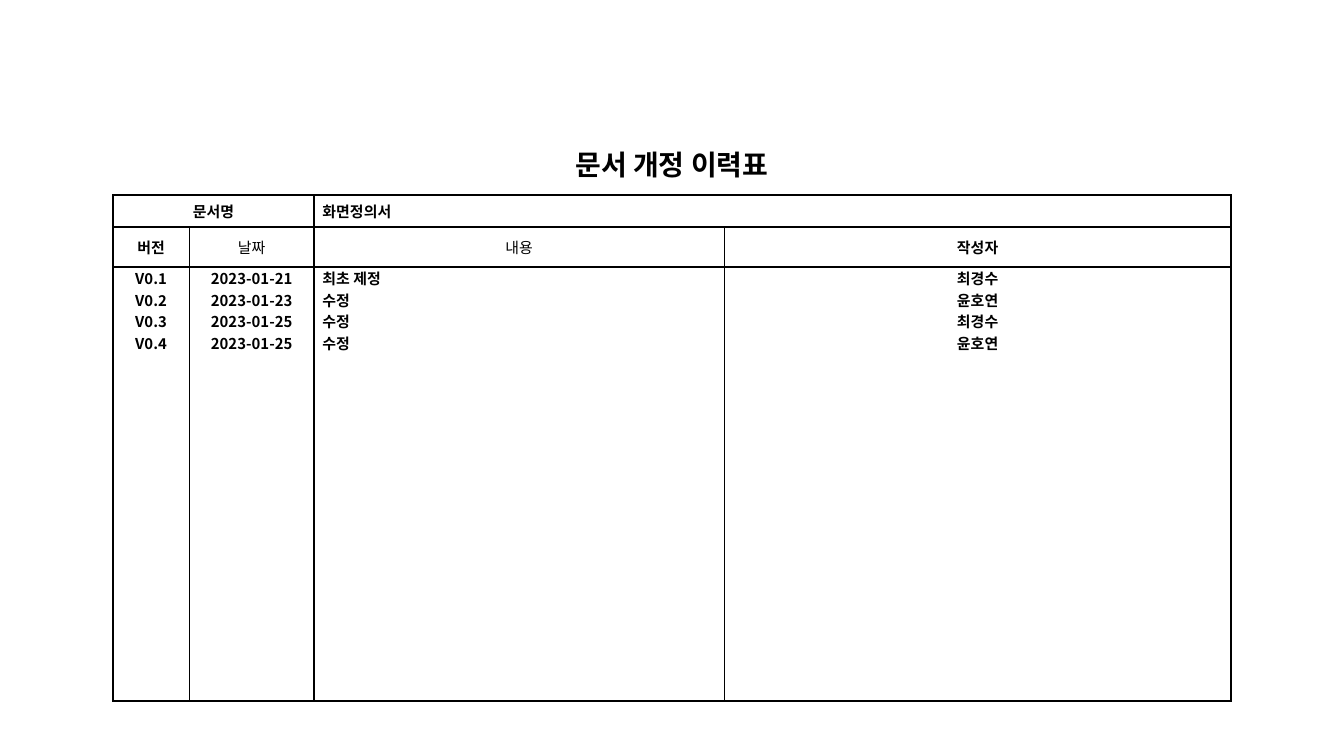
from dataclasses import dataclass

from lxml import etree
from pptx import Presentation
from pptx.dml.color import RGBColor
from pptx.enum import text
from pptx.oxml import ns
from pptx.util import Pt


@dataclass(frozen=True)
class Theme:
    font: str = "Noto Sans CJK KR"
    ink: str = "000000"
    paper: str = "FFFFFF"
    title: int = 15
    body: int = 8
    line: int = 1


T = Theme()
CENTER, JUSTIFY = text.PP_ALIGN.CENTER, text.PP_ALIGN.JUSTIFY
TOP, MIDDLE, BOTTOM = (text.MSO_ANCHOR.TOP, text.MSO_ANCHOR.MIDDLE,
                       text.MSO_ANCHOR.BOTTOM)

COLS = [41, 66.8, 219.8, 271.4]
ROWS = [55, 17.2, 21.4, 232.4]
REVISIONS = [
    ("V0.1", "2023-01-21", "최초 제정", "최경수"),
    ("V0.2", "2023-01-23", "수정", "윤호연"),
    ("V0.3", "2023-01-25", "수정", "최경수"),
    ("V0.4", "2023-01-25", "수정", "윤호연"),
]


def write(cell, lines, size=T.body, bold=True, align=CENTER, anchor=MIDDLE,
          bottom=0):
    """Fill a cell with one paragraph per line."""
    cell.vertical_anchor = anchor
    cell.margin_left = cell.margin_right = Pt(4.5)
    cell.margin_top, cell.margin_bottom = Pt(0), Pt(bottom)
    tf = cell.text_frame
    for i, line in enumerate(lines):
        p = tf.paragraphs[0] if i == 0 else tf.add_paragraph()
        p.alignment = align
        r = p.add_run()
        r.text = line
        r.font.size, r.font.bold, r.font.name = Pt(size), bold, T.font
        r.font.color.rgb = RGBColor.from_string(T.ink)
        ea = etree.SubElement(r.font._element, ns.qn("a:ea"))
        ea.set("typeface", T.font)


def draw_borders(cell, colors):
    """Draw the left, right, top and bottom borders in the given colors."""
    tcPr = cell._tc.get_or_add_tcPr()
    for side, color in zip("LRTB", colors):
        ln = etree.SubElement(tcPr, ns.qn(f"a:ln{side}"), w=str(Pt(T.line)))
        fill = etree.SubElement(ln, ns.qn("a:solidFill"))
        etree.SubElement(fill, ns.qn("a:srgbClr"), val=color)


def add_revision_table(s, x, y):
    frame = s.shapes.add_table(len(ROWS), len(COLS), Pt(x), Pt(y),
                               Pt(sum(COLS)), Pt(sum(ROWS)))
    table = frame.table
    table.first_row = table.horz_banding = False
    for col, width in zip(table.columns, COLS):
        col.width = Pt(width)
    for row, height in zip(table.rows, ROWS):
        row.height = Pt(height)

    # Only the title row hides its outer borders
    for i, row in enumerate(table.rows):
        for cell in row.cells:
            draw_borders(cell, [T.paper if i == 0 else T.ink] * 3 + [T.ink])
            cell.fill.background()

    # Title and document name
    for row, first, last in [(0, 0, 3), (1, 0, 1), (1, 2, 3)]:
        table.cell(row, first).merge(table.cell(row, last))
    write(table.cell(0, 0), ["문서 개정 이력표"], size=T.title,
          anchor=BOTTOM, bottom=6)
    write(table.cell(1, 0), ["문서명"])
    write(table.cell(1, 2), ["화면정의서"], align=JUSTIFY)

    # Column heads and the revisions below them
    heads = [("버전", True), ("날짜", False), ("내용", False), ("작성자", True)]
    for c, ((head, bold), lines) in enumerate(zip(heads, zip(*REVISIONS))):
        write(table.cell(2, c), [head], bold=bold)
        write(table.cell(3, c), lines, anchor=TOP,
              align=JUSTIFY if head == "내용" else CENTER)


def main():
    prs = Presentation()
    prs.slide_width, prs.slide_height = Pt(720), Pt(405)
    s = prs.slides.add_slide(prs.slide_layouts[6])
    add_revision_table(s, 60.5, 49.5)
    prs.save("out.pptx")


if __name__ == "__main__":
    main()
